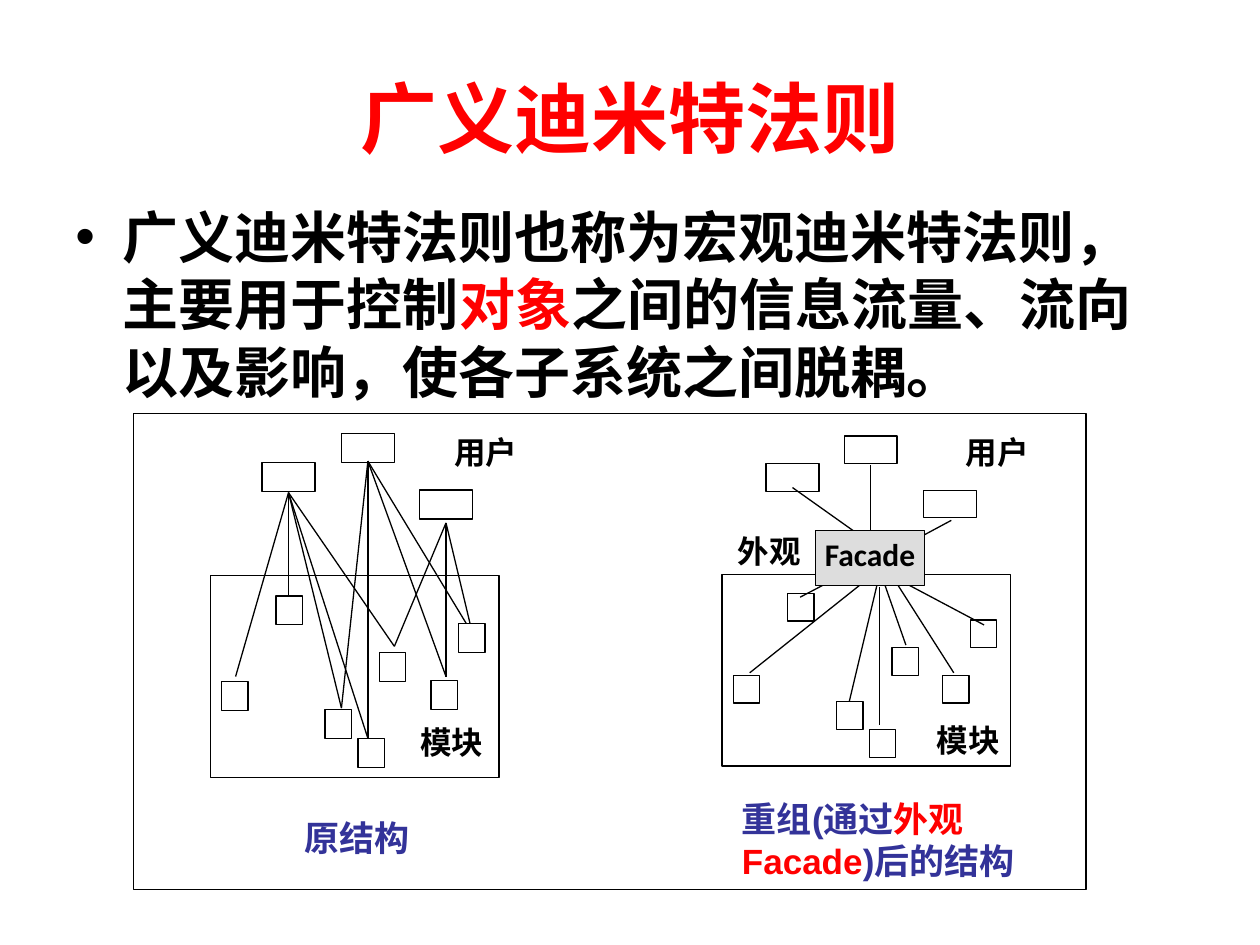
import pptx
import pptx.util
import pptx.dml.color
import pptx.enum.shapes
import pptx.enum.text
import lxml.etree
import dataclasses


@dataclasses.dataclass(frozen=True)
class Theme:
    black: str = "000000"
    white: str = "FFFFFF"
    red: str = "FF0000"
    blue: str = "333399"
    gray: str = "DDDDDD"
    title: int = 44
    body: int = 32
    note: int = 20
    label: int = 18
    stroke: float = 0.75
    serif: str = "Times New Roman"
    sans: str = "Arial"
    plain: str = "Calibri"


theme = Theme()
Align = pptx.enum.text.PP_ALIGN
Anchor = pptx.enum.text.MSO_ANCHOR
Kind = pptx.enum.shapes.MSO_SHAPE
Link = pptx.enum.shapes.MSO_CONNECTOR

deck = pptx.Presentation()
deck.slide_width = pptx.util.Inches(10)
deck.slide_height = pptx.util.Inches(7.5)
slide = deck.slides.add_slide(deck.slide_layouts[6])
COLS, ROWS = 1000, 750


def place(*cells):
    sizes = (deck.slide_width / COLS, deck.slide_height / ROWS) * 2
    return [round(cell * size) for cell, size in zip(cells, sizes)]


def shift(box, part):
    return (box[0] + part[0], box[1] + part[1], *part[2:])


def color(code):
    return pptx.dml.color.RGBColor.from_string(code)


def draw(box, fill=theme.white, line=True):
    shape = slide.shapes.add_shape(Kind.RECTANGLE, *place(*box))
    shape.shadow.inherit = False
    if fill:
        shape.fill.solid()
        shape.fill.fore_color.rgb = color(fill)
    else:
        shape.fill.background()
    if line:
        shape.line.color.rgb = color(theme.black)
        shape.line.width = pptx.util.Pt(theme.stroke)
    else:
        shape.line.fill.background()
    return shape


def join(box, ends):
    line = slide.shapes.add_connector(
        Link.STRAIGHT, *place(*shift(box, ends[:2]), *shift(box, ends[2:])))
    line.line.color.rgb = color(theme.black)
    line.line.width = pptx.util.Pt(theme.stroke)
    props = line._element.spPr
    lxml.etree.SubElement(props, pptx.oxml.ns.qn("a:effectLst"))


def write(shape, parts, size, font, align=Align.CENTER, anchor=Anchor.TOP, inset=True):
    frame = shape.text_frame
    frame.word_wrap = True
    frame.vertical_anchor = anchor
    if not inset:
        frame.margin_left = frame.margin_right = 0
        frame.margin_top = frame.margin_bottom = 0
    para = frame.paragraphs[0]
    para.alignment = align
    for text, tone in parts:
        run = para.add_run()
        run.text = text
        run.font.size = pptx.util.Pt(size)
        run.font.name = font
        run.font.bold = True
        run.font.color.rgb = color(tone)
    return para


def area(box):
    return slide.shapes.add_textbox(*place(*box))


def label(box, text, font=theme.plain):
    write(area(box), [(text, theme.black)], theme.label, font, inset=False)


def head(box):
    write(area(box), [("广义迪米特法则", theme.red)], theme.title, theme.serif,
          anchor=Anchor.MIDDLE)


def body(box):
    parts = [("广义迪米特法则也称为宏观迪米特法则，主要用于控制", theme.black),
             ("对象", theme.red),
             ("之间的信息流量、流向以及影响，使各子系统之间脱耦。", theme.black)]
    para = write(area(box), parts, theme.body, theme.serif, Align.LEFT)
    para.space_before = para.space_after = pptx.util.Pt(theme.body * 0.2)
    props = para._p.get_or_add_pPr()
    dent = place(37.5)[0]
    props.set("marL", str(dent))
    props.set("indent", str(-dent))
    face = lxml.etree.SubElement(props, pptx.oxml.ns.qn("a:buFont"))
    face.set("typeface", theme.sans)
    mark = lxml.etree.SubElement(props, pptx.oxml.ns.qn("a:buChar"))
    mark.set("char", "•")


def cells(box, spots, width, height):
    for spot in spots:
        draw(shift(box, (*spot, width, height)))


def before(box):
    users = [(41, 23), (104, 0), (166, 45)]
    mods = [(52, 129), (134, 174), (197, 151), (91, 219), (175, 196), (9, 197), (117, 242)]
    hubs = [(62, 47), (125, 22), (187, 71)]
    tips = [(62, 136), (146, 169), (208, 159), (104, 218), (187, 193), (20, 193), (125, 242)]
    links = [(0, 1, 3, 5, 6), (2, 3, 4, 6), (1, 2, 4)]
    cells(box, users, 42, 23)
    for hub, picks in zip(hubs, links):
        for pick in picks:
            join(box, hub + tips[pick])
    cells(box, mods, 21, 23)
    draw(shift(box, (0, 113, 229, 160)), None)
    label(shift(box, (187, 0, 63, 46)), "用户")
    label(shift(box, (160, 230, 63, 46)), "模块")
    write(area(shift(box, (34, 299, 165, 44))), [("原结构", theme.blue)],
          theme.note, theme.sans)


def after(box):
    users = [(35, 24), (97, 2), (160, 45)]
    mods = [(52, 127), (135, 170), (197, 148), (91, 213), (175, 192), (9, 192), (117, 235)]
    links = [(125, 108, 22, 190), (56, 43, 118, 87), (118, 25, 118, 91),
             (182, 69, 141, 91), (104, 108, 62, 130), (125, 112, 101, 213),
             (125, 108, 146, 168), (125, 122, 125, 231), (133, 110, 184, 190),
             (125, 108, 208, 152)]
    cells(box, mods, 21, 22)
    draw(shift(box, (0, 112, 229, 152)), None)
    cells(box, users, 42, 22)
    for ends in links:
        join(box, ends)
    hub = draw(shift(box, (74, 77, 87, 44)), theme.gray)
    para = write(hub, [("Facade", theme.black)], theme.label, theme.plain,
                 anchor=Anchor.MIDDLE, inset=False)
    para.line_spacing = 0.72
    label(shift(box, (187, 0, 63, 44)), "用户")
    label(shift(box, (164, 228, 63, 46)), "模块")
    label(shift(box, (6, 78, 63, 31)), "外观", theme.sans)
    parts = [("重组(通过", theme.blue), ("外观Facade", theme.red), (")后的结构", theme.blue)]
    write(area(shift(box, (6, 284, 283, 77))), parts, theme.note, theme.sans, Align.LEFT)


def chart(box):
    draw(box)
    before(shift(box, (61, 16)))
    after(shift(box, (467, 16)))


head((50, 30, 900, 125))
body((50, 156, 900, 495))
chart((106, 328, 756, 378))
deck.save("out.pptx")
